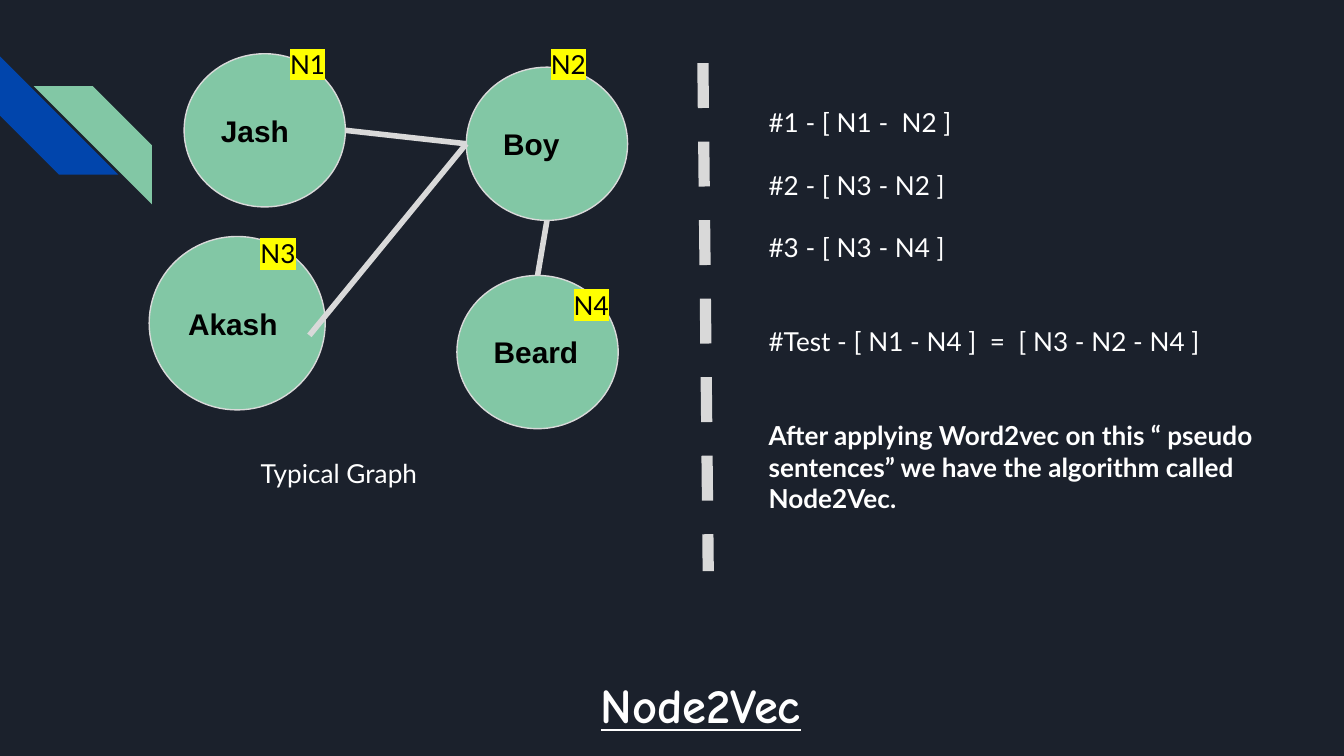
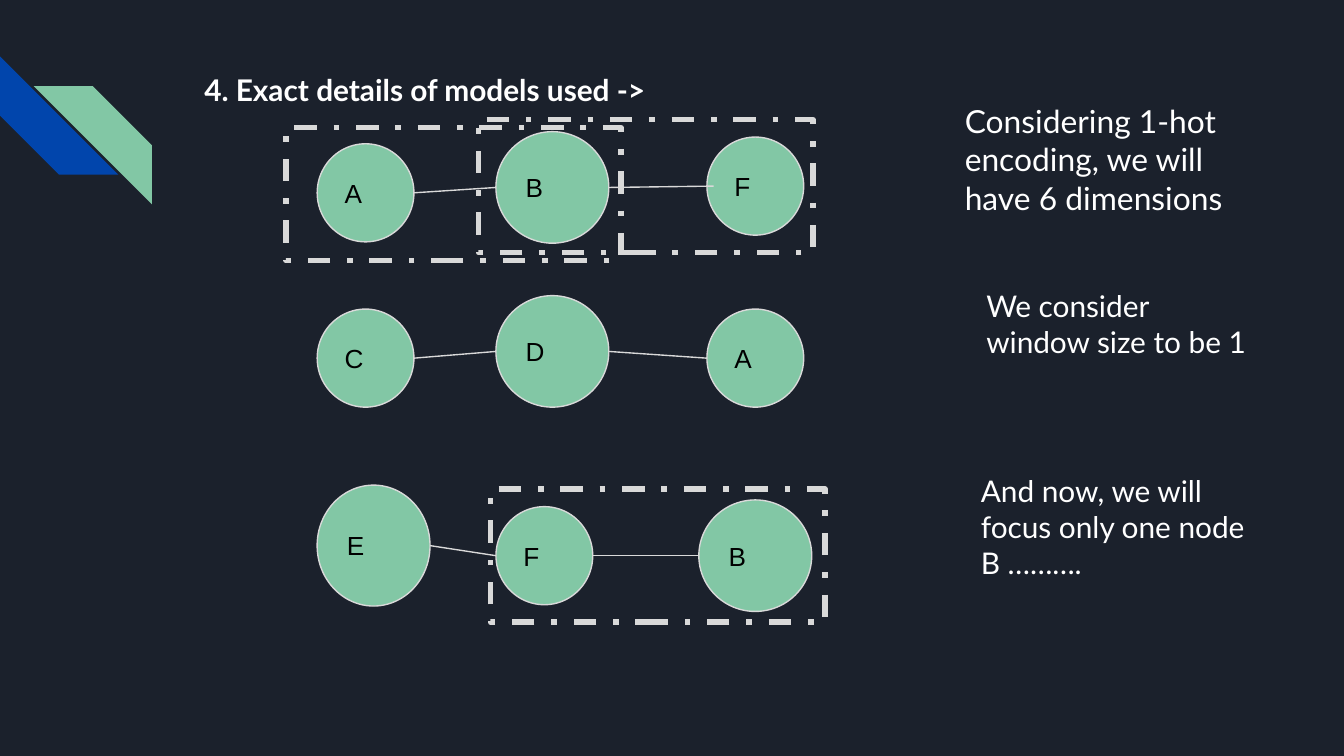
from collections import namedtuple

from lxml import etree
from pptx import Presentation
from pptx import util as u
from pptx.dml.color import RGBColor
from pptx.enum import dml, shapes, text
from pptx.oxml import ns

COLUMNS, ROWS = 100, 56.25
CELL = u.Inches(0.1)
NAVY, BLUE, GREEN = "1B212C", "0145AC", "82C7A5"
GREY, WHITE, BLACK, YELLOW = "D9D9D9", "FFFFFF", "000000", "FFFF00"
BODY, LABEL, DISPLAY = "Lato", "Arial", "Comic Neue"
LINE_HEIGHT = 1.2

Box = namedtuple("Box", "left top width height")
Style = namedtuple("Style", "size font color bold underline highlight",
                   defaults=(BODY, WHITE, False, False, None))


def grid(*cells):
    """Turn grid cells into slide lengths."""
    return [u.Emu(round(cell * CELL)) for cell in cells]


def rgb(color):
    """Turn a hex string into a colour."""
    return RGBColor.from_string(color)


def within(area, left, top, width, height):
    """Place a box relative to the corner of an area."""
    return Box(area.left + left, area.top + top, width, height)


def add_run(paragraph, words, style):
    """Add one styled run to a paragraph."""
    run = paragraph.add_run()
    run.text = words
    font = run.font
    font.size = u.Pt(style.size)
    font.bold = style.bold
    font.underline = style.underline
    font.color.rgb = rgb(style.color)
    if style.highlight:
        properties = run.font.fill._xPr
        highlight = etree.SubElement(properties, ns.qn("a:highlight"))
        etree.SubElement(highlight, ns.qn("a:srgbClr"), val=style.highlight)
    font.name = style.font


def write(shape, lines, anchor=text.MSO_ANCHOR.TOP, spacing=None):
    """Fill a shape with (words, style, space before) lines."""
    frame = shape.text_frame
    frame.word_wrap = True
    frame.auto_size = text.MSO_AUTO_SIZE.NONE
    frame.vertical_anchor = anchor
    frame.margin_left = frame.margin_right = CELL
    frame.margin_top = frame.margin_bottom = CELL
    for index, (words, style, gap) in enumerate(lines):
        paragraph = frame.add_paragraph() if index else frame.paragraphs[0]
        paragraph.alignment = text.PP_ALIGN.LEFT
        paragraph.space_before = u.Pt(gap)
        paragraph.line_spacing = spacing
        add_run(paragraph, words, style)


def add_text(slide, box, words, style):
    """Add a text box with one paragraph."""
    write(slide.shapes.add_textbox(*grid(*box)), [(words, style, 0)])


def add_outlined(slide, kind, box, fill=None, line=None, width=0.75, dash=None):
    """Add a preset shape with an optional fill and outline."""
    shape = slide.shapes.add_shape(kind, *grid(*box))
    shape.shadow.inherit = False
    if fill:
        shape.fill.solid()
        shape.fill.fore_color.rgb = rgb(fill)
    else:
        shape.fill.background()
    if line:
        shape.line.color.rgb = rgb(line)
        shape.line.width = u.Pt(width)
        shape.line.dash_style = dash
    else:
        shape.line.fill.background()
    return shape


def add_node(slide, box, name, style):
    """Add a named graph node and return its box."""
    shape = add_outlined(slide, shapes.MSO_SHAPE.OVAL, box, GREEN, GREY)
    write(shape, [(name, style, 0)], text.MSO_ANCHOR.MIDDLE)
    return box


def point(box, across, down):
    """Find a point at the given shares of a box."""
    return box.left + across * box.width, box.top + down * box.height


def add_line(slide, start, end, width, dash=None):
    """Draw a straight grey line between two points."""
    line = slide.shapes.add_connector(
        shapes.MSO_CONNECTOR.STRAIGHT, *grid(*start, *end))
    line.line.color.rgb = rgb(GREY)
    line.line.width = u.Pt(width)
    line.line.dash_style = dash
    etree.SubElement(line.element.spPr, ns.qn("a:effectLst"))


def add_title(slide, box, words, style):
    """Move and format the title placeholder."""
    title = slide.shapes.title
    title.left, title.top, title.width, title.height = grid(*box)
    write(title, [(words, style, 0)], spacing=1.15)


def add_stripes(slide, layout, area):
    """Put the two corner stripes on the shared layout."""
    side = 8.8
    for left, top, color in ((0, 0, BLUE), (2.5, 2.2, GREEN)):
        stripe = add_outlined(slide, shapes.MSO_SHAPE.DIAGONAL_STRIPE,
                              within(area, left, top, side, side), color)
        stripe.adjustments[0] = 0.5
        if color == BLUE:
            stripe.rotation = 270
        else:
            stripe.element.spPr.find(ns.qn("a:xfrm")).set("flipH", "1")
        layout.element.cSld.spTree.append(stripe.element)


def add_named_graph(slide, area):
    """Draw the graph of four named and numbered nodes."""
    style = Style(16, LABEL, BLACK, True)
    tag = Style(14, color=BLACK, highlight=YELLOW)
    jash, akash, boy, beard = [
        add_node(slide, within(area, *place), name, style)
        for name, place in (("Jash", (2.6, 1.4, 12, 11.4)),
                            ("Akash", (0, 15, 13.1, 12.9)),
                            ("Boy", (23.6, 2.4, 12, 11.4)),
                            ("Beard", (22.9, 17.9, 12, 11.4)))]
    for start, end in ((point(jash, 1, 0.5), point(boy, 0, 0.5)),
                       (point(akash, 0.91, 0.57), point(boy, 0, 0.5)),
                       (point(boy, 0.5, 1), point(beard, 0.5, 0))):
        add_line(slide, start, end, 3)
    tags = ((9.5, 0), (28.9, 0), (7.3, 14.1), (30.6, 17.9))
    for number, (left, top) in enumerate(tags, 1):
        add_text(slide, within(area, left, top, 5, 3.4), f"N{number}", tag)
    add_text(slide, within(area, 7.3, 30.4, 20.5, 4.7), "Typical Graph", Style(14))


def add_walks(slide, area):
    """List the node pairs and the conclusion."""
    plain = Style(14)
    blank = plain.size * LINE_HEIGHT
    write(slide.shapes.add_textbox(*grid(*area)), [
        ("#1 - [ N1 -  N2 ]", plain, 0),
        ("#2 - [ N3 - N2 ]", plain, blank),
        ("#3 - [ N3 - N4 ]", plain, blank),
        ("#Test - [ N1 - N4 ]  =  [ N3 - N2 - N4 ]", plain, 2 * blank),
        ("After applying Word2vec on this “ pseudo sentences” we have "
         "the algorithm called Node2Vec.", plain._replace(bold=True), 2 * blank)])


def add_chain(slide, area, nodes, overlap=0):
    """Draw a row of lettered nodes joined from left to right."""
    style = Style(14, LABEL, BLACK)
    boxes = [add_node(slide, within(area, *place), letter, style)
             for letter, *place in nodes]
    last = len(boxes) - 1
    for index, (start, end) in enumerate(zip(boxes, boxes[1:]), 1):
        reach = overlap if index == last else 0
        add_line(slide, point(start, 1, 0.5), point(end, reach, 0.5), 0.75)


def add_windows(slide, corners):
    """Frame node pairs with equal dashed windows."""
    for left, top in corners:
        add_outlined(slide, shapes.MSO_SHAPE.RECTANGLE, Box(left, top, 24.9, 9.9),
                     line=GREY, width=3, dash=dml.MSO_LINE.DASH_DOT)


def build_graph_slide(slide):
    """Build the slide on the graph and its walks."""
    add_title(slide, Box(43.7, 48.6, 30, 7), "Node2Vec",
              Style(26, DISPLAY, bold=True, underline=True))
    add_named_graph(slide, Box(11.1, 2.6, 35.6, 35.1))
    add_line(slide, (52.3, 4.7), (52.7, 42.5), 6, dml.MSO_LINE.DASH)
    add_walks(slide, Box(56.2, 6.9, 40.8, 14.9))


def build_model_slide(slide):
    """Build the slide on the model details."""
    small, large = (7.2, 7.3), (8.4, 8.3)
    first, middle, third = 0, 13.3, 29
    add_title(slide, Box(14.2, 3.9, 79.2, 5),
              "4. Exact details of models used ->", Style(16, bold=True))
    chains = (
        (9.8, 0.07, (("A", first, 0.9, *small), ("B", middle, 0, *large),
                     ("F", third, 0.4, *small))),
        (22, 0, (("C", first, 1, *small), ("D", middle, 0, *large),
                 ("A", third, 1, *small))),
        (36.1, 0, (("E", first, 0, 8.4, 9), ("F", middle, 1.6, *small),
                   ("B", third - 0.6, 1.1, *large))))
    for top, overlap, nodes in chains:
        add_chain(slide, Box(23.6, top, 36.8, 9), nodes, overlap)
    notes = (
        (Box(72.4, 20.4, 21.6, 21.7), 16, "We consider window size to be 1"),
        (Box(72, 34.2, 21.6, 13.6), 16,
         "And now, we will focus only one node B ………."),
        (Box(70.8, 6.6, 24.9, 8.9), 17,
         "Considering 1-hot encoding, we will have 6 dimensions"))
    for box, size, words in notes:
        add_text(slide, box, words, Style(size))
    add_windows(slide, ((21.3, 9.5), (35.6, 8.9), (36.5, 36.4)))


def main():
    """Build and save the presentation."""
    presentation = Presentation()
    presentation.slide_width, presentation.slide_height = grid(COLUMNS, ROWS)
    background = presentation.slide_master.background.fill
    background.solid()
    background.fore_color.rgb = rgb(NAVY)
    layout = presentation.slide_layouts.get_by_name("Title Only")
    builders = (build_graph_slide, build_model_slide)
    slides = [presentation.slides.add_slide(layout) for _ in builders]
    add_stripes(slides[0], layout, Box(0, 4.2, 11.3, 11))
    for build, slide in zip(builders, slides):
        build(slide)
    presentation.save("out.pptx")


if __name__ == "__main__":
    main()
